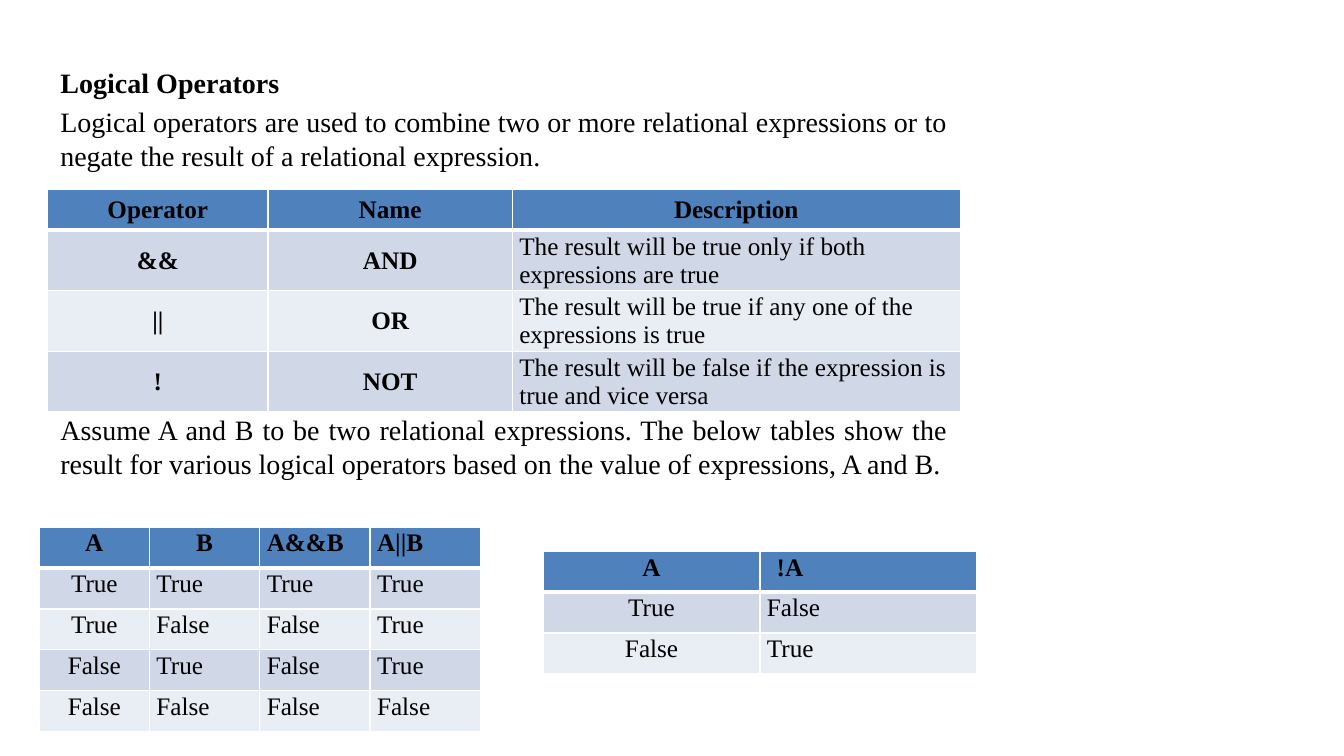
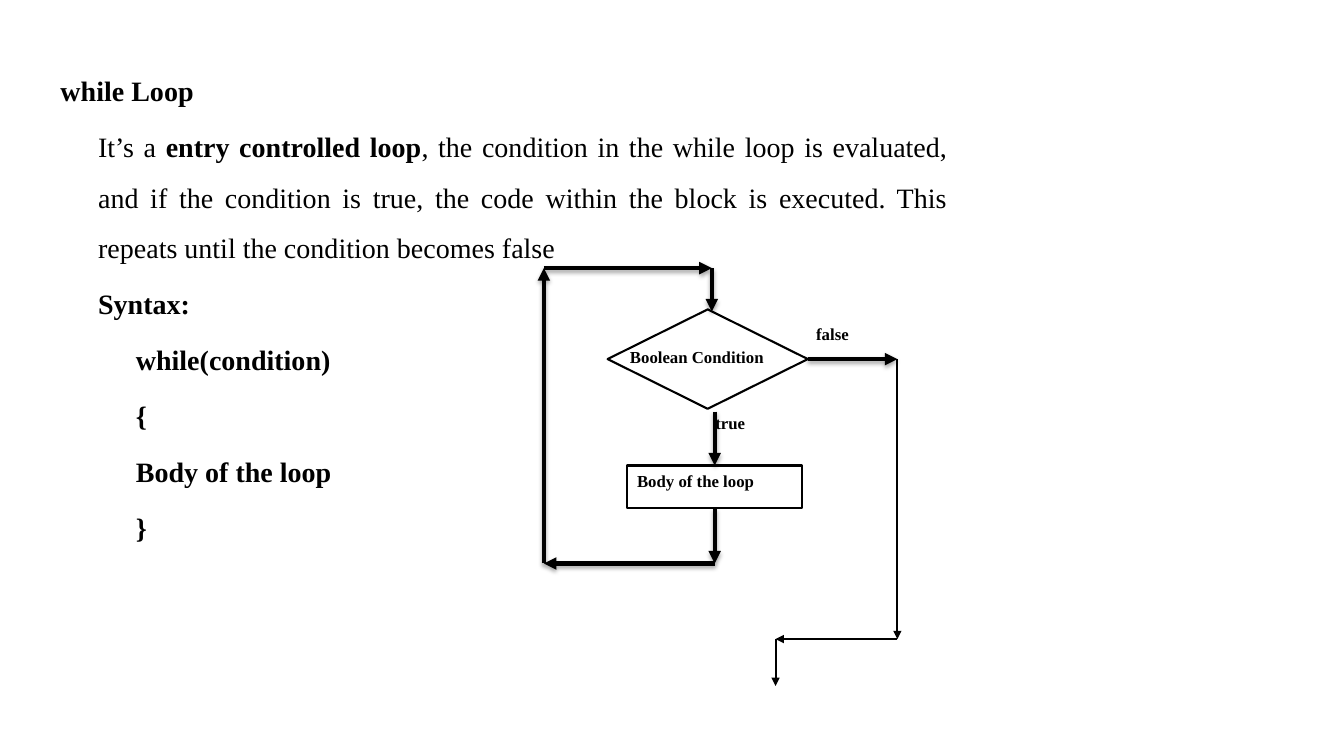
from lxml import etree
from pptx import Presentation
from pptx.dml.color import RGBColor
from pptx.enum.shapes import MSO_CONNECTOR as Connector, MSO_SHAPE as Preset
from pptx.enum.text import MSO_ANCHOR as Anchor, MSO_AUTO_SIZE as AutoSize, PP_ALIGN as Align
from pptx.oxml import parse_xml
from pptx.oxml.ns import nsdecls, qn
from pptx.util import Pt

BLACK, WHITE = "000000", "FFFFFF"
HEADER_FILL = "4F81BD"
BAND_FILLS = ("D0D8E8", "E9EDF4")
FONT = "Times New Roman"
BODY_SIZE, TABLE_SIZE, LABEL_SIZE = 20, 18, 12
LEFT, WIDTH = 36, 648
TOP, BOTTOM, RIGHT = 0, 2, 3


def color(value):
    return RGBColor.from_string(value)


def shadow_effects():
    return parse_xml(
        f'<a:effectLst {nsdecls("a")}><a:outerShdw blurRad="{Pt(3.1)}" dist="{Pt(1.8)}" '
        'dir="5400000" rotWithShape="0"><a:srgbClr val="000000"><a:alpha val="35000"/>'
        '</a:srgbClr></a:outerShdw></a:effectLst>')


def set_borders(cell, top, bottom):
    """Draw white borders; top and bottom are widths in points."""
    properties = cell._tc.get_or_add_tcPr()
    for side, width in (("L", 1), ("R", 1), ("T", top), ("B", bottom)):
        properties.append(parse_xml(
            f'<a:ln{side} {nsdecls("a")} w="{Pt(width)}"><a:solidFill>'
            f'<a:srgbClr val="{WHITE}"/></a:solidFill></a:ln{side}>'))


class Deck:
    def __init__(self):
        self.presentation = Presentation()
        self.presentation.slide_width = Pt(960)
        self.presentation.slide_height = Pt(540)
        self.slide = None

    def format_paragraph(self, paragraph, size, bold=False, align=Align.LEFT, spacing=None):
        paragraph.alignment = align
        if spacing:
            paragraph.line_spacing = Pt(spacing)
        font = paragraph.font
        font.name, font.size, font.bold = FONT, Pt(size), bold
        font.color.rgb = color(BLACK)

    def add_slide(self, title, top, spacing):
        self.slide = self.presentation.slides.add_slide(self.presentation.slide_layouts[5])
        shape = self.slide.shapes.title
        shape.left, shape.top, shape.width, shape.height = Pt(LEFT), Pt(top), Pt(WIDTH), Pt(spacing + 8)
        frame = shape.text_frame
        frame.text = title
        frame.vertical_anchor, frame.auto_size = Anchor.TOP, AutoSize.NONE
        self.format_paragraph(frame.paragraphs[0], BODY_SIZE, True, spacing=spacing)

    def body(self, top, height, paragraphs, spacing):
        """Add justified text; each paragraph is (indent, runs), each run (text, bold)."""
        frame = self.slide.shapes.add_textbox(Pt(LEFT), Pt(top), Pt(WIDTH), Pt(height)).text_frame
        frame.word_wrap = True
        for index, (indent, runs) in enumerate(paragraphs):
            paragraph = frame.add_paragraph() if index else frame.paragraphs[0]
            paragraph._p.get_or_add_pPr().set("marL", str(Pt(indent)))
            if index:
                paragraph.space_before = Pt(4)
            self.format_paragraph(paragraph, BODY_SIZE, runs[0][1], Align.JUSTIFY, spacing)
            for text, bold in runs:
                run = paragraph.add_run()
                run.text = text
                if bold != runs[0][1]:
                    run.font.bold = bold

    def label(self, left, top, width, text):
        frame = self.slide.shapes.add_textbox(Pt(left), Pt(top), Pt(width), Pt(20)).text_frame
        frame.margin_left = frame.margin_right = frame.margin_top = frame.margin_bottom = 0
        frame.word_wrap = True
        frame.text = text
        self.format_paragraph(frame.paragraphs[0], LABEL_SIZE, True)

    def outline(self, preset, left, top, width, height, text=""):
        shape = self.slide.shapes.add_shape(preset, Pt(left), Pt(top), Pt(width), Pt(height))
        shape.shadow.inherit = False
        shape.fill.background()
        shape.line.color.rgb = color(BLACK)
        shape.line.width = Pt(1.5)
        if text:
            shape.text_frame.text = text
            shape.text_frame.vertical_anchor = Anchor.TOP
            self.format_paragraph(shape.text_frame.paragraphs[0], LABEL_SIZE, True)
        return shape

    def arrow(self, start, end, width=3, shadow=True):
        connector = self.slide.shapes.add_connector(
            Connector.STRAIGHT, *(Pt(value) for value in (*start, *end)))
        connector.line.color.rgb = color(BLACK)
        connector.line.width = Pt(width)
        etree.SubElement(connector.line._get_or_add_ln(), qn("a:tailEnd"), type="triangle")
        properties = connector._element.spPr
        if shadow:
            properties.append(shadow_effects())
        else:
            etree.SubElement(properties, qn("a:effectLst"))
        return connector

    def table(self, left, top, widths, heights, rows, centred=(1, 1), bold_columns=0,
              spacing=None, header_indent=5):
        """Add a banded table; centred counts the centred columns of header and body."""
        table = self.slide.shapes.add_table(
            len(rows), len(widths), Pt(left), Pt(top), Pt(sum(widths)), Pt(sum(heights))).table
        table.first_row = table.horz_banding = False
        for column, width in zip(table.columns, widths):
            column.width = Pt(width)
        for row_index, texts in enumerate(rows):
            table.rows[row_index].height = Pt(heights[row_index])
            header = row_index == 0
            fill = HEADER_FILL if header else BAND_FILLS[(row_index - 1) % 2]
            for column_index, text in enumerate(texts):
                cell = table.cell(row_index, column_index)
                is_centred = column_index < centred[0 if header else 1]
                indent = 0 if is_centred else header_indent if header else 5
                cell.margin_left = Pt(indent)
                cell.margin_right = cell.margin_top = cell.margin_bottom = 0
                cell.vertical_anchor = Anchor.MIDDLE
                set_borders(cell, 3 if row_index == 1 else 1, 3 if header else 1)
                cell.fill.solid()
                cell.fill.fore_color.rgb = color(fill)
                cell.text = text
                self.format_paragraph(
                    cell.text_frame.paragraphs[0], TABLE_SIZE, header or column_index < bold_columns,
                    Align.CENTER if is_centred else Align.LEFT, spacing)


def add_logical_operators(deck):
    deck.add_slide("Logical Operators", 43.5, 24)
    deck.body(71.3, 56, [(0, [(
        "Logical operators are used to combine two or more relational expressions or to "
        "negate the result of a relational expression.", False)])], 24)
    deck.table(34, 135.5, (157.5, 174.5, 320), (29, 40, 40, 40), [
        ("Operator", "Name", "Description"),
        ("&&", "AND", "The result will be true only if both expressions are true"),
        ("||", "OR", "The result will be true if any one of the expressions is true"),
        ("!", "NOT", "The result will be false if the expression is true and vice versa"),
    ], centred=(3, 2), bold_columns=2)
    deck.body(291.3, 80, [(0, [(
        "Assume A and B to be two relational expressions. The below tables show the result for "
        "various logical operators based on the value of expressions, A and B.", False)])], 24)
    deck.table(28, 376.6, [78.8] * 4, [29.2] * 5, [
        ("A", "B", "A&&B", "A||B"),
        ("True", "True", "True", "True"),
        ("True", "False", "False", "True"),
        ("False", "True", "False", "True"),
        ("False", "False", "False", "False"),
    ], centred=(2, 1), spacing=13.8)
    deck.table(388, 393.8, [154.8] * 2, [29.2] * 3, [
        ("A", "!A"), ("True", "False"), ("False", "True"),
    ], spacing=13.8, header_indent=12)


def add_while_loop(deck):
    deck.add_slide("while Loop", 37.2, 36)
    code = ("while(condition)", "{", "Body of the loop", "}")
    deck.body(77.2, 324, [
        (27, [("It’s a ", False), ("entry controlled loop", True),
              (", the condition in the while loop is evaluated, and if the condition is true, "
               "the code within the block is executed. This repeats until the condition "
               "becomes false", False)]),
        (27, [("Syntax:", True)]),
        *((54, [(line, True)]) for line in code),
    ], 36)

    condition = deck.outline(Preset.DIAMOND, 434, 221, 143, 71)
    loop_body = deck.outline(Preset.RECTANGLE, 448, 332.5, 125, 30.5, "Body of the loop")
    deck.label(450, 248, 150, "Boolean Condition")
    deck.label(511, 294.5, 31, "true")
    deck.label(583, 231, 47, "false")

    center, loop_left, loop_top, loop_bottom = 510.5, 388.5, 191.5, 402.5
    exit_right, exit_left, exit_turn, exit_bottom = 641, 554, 456.5, 490
    middle = 256.5
    deck.arrow((center, 294), (center, 332.5)).end_connect(loop_body, TOP)
    deck.arrow((center, 363), (center, loop_bottom)).begin_connect(loop_body, BOTTOM)
    corners = [(center, loop_bottom), (loop_left, loop_bottom), (loop_left, loop_top),
               (508.5, loop_top), (508.5, 222.5)]
    for start, end in zip(corners, corners[1:]):
        deck.arrow(start, end)
    deck.arrow((577, middle), (exit_right, middle)).begin_connect(condition, RIGHT)
    corners = [(exit_right, middle), (exit_right, exit_turn), (exit_left, exit_turn),
               (exit_left, exit_bottom)]
    for start, end in zip(corners, corners[1:]):
        deck.arrow(start, end, width=1.5, shadow=False)


def main():
    deck = Deck()
    add_logical_operators(deck)
    add_while_loop(deck)
    deck.presentation.save("out.pptx")


if __name__ == "__main__":
    main()
